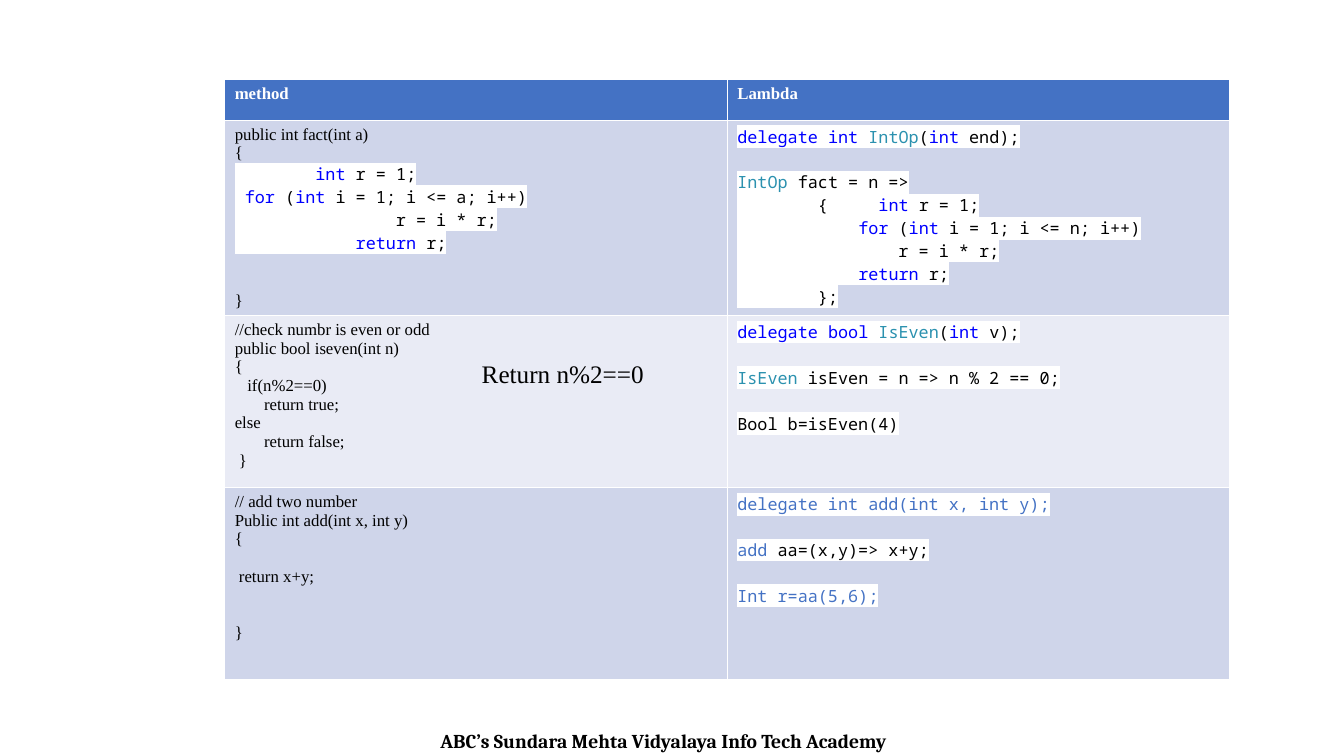
from lxml.etree import SubElement
from pptx import Presentation
from pptx.dml.color import RGBColor as RGB
from pptx.enum.text import PP_ALIGN as Align
from pptx.oxml.ns import qn
from pptx.util import Pt

BLACK = RGB(0, 0, 0)
WHITE = RGB(255, 255, 255)
BLUE = RGB(0x00, 0x00, 0xFF)
TEAL = RGB(0x2B, 0x91, 0xAF)
ACCENT = RGB(0x44, 0x72, 0xC4)
DARK = RGB(0xCF, 0xD5, 0xEA)
LIGHT = RGB(0xE9, 0xEB, 0xF5)
SERIF = "Times New Roman"
MONO = "Noto Sans Mono"

hues = dict.fromkeys(["delegate", "int", "bool", "for", "return"], BLUE)
hues.update(dict.fromkeys(["IntOp", "IsEven"], TEAL))
hues.update(dict.fromkeys(
    ["delegate int add(int x, int y);", "add ", "Int r=aa(5,6);"], ACCENT))


def style(run, face, size, color, bold=False):
    font = run.font
    font.name, font.size, font.bold = face, Pt(size), bold
    font.color.rgb = color


def mark(run):
    props = run.font._element
    light = SubElement(props, qn("a:highlight"))
    SubElement(light, qn("a:srgbClr"), val="FFFFFF")
    props.find(qn("a:solidFill")).addnext(light)


rows = [
    (DARK, 137, [
        (SERIF, 0, "public int fact(int a)"),
        (SERIF, 0, "{"),
        (MONO, 0, "        |int| r = 1;"),
        (MONO, 0, " |for| (|int| i = 1; i <= a; i++)"),
        (MONO, 0, "                r = i * r;"),
        (MONO, 0, "            |return| r;"),
        (SERIF, 27, "}"),
    ], [
        (MONO, 0, "delegate| |int| |IntOp|(|int| end);"),
        (MONO, 16.4, "IntOp| fact = n =>"),
        (MONO, 0, "        {     |int| r = 1;"),
        (MONO, 0, "            |for| (|int| i = 1; i <= n; i++)"),
        (MONO, 0, "                r = i * r;"),
        (MONO, 0, "            |return| r;"),
        (MONO, 0, "        };"),
    ]),
    (LIGHT, 123, [
        (SERIF, 0, "//check numbr is even or odd"),
        (SERIF, 0, "public bool iseven(int n)"),
        (SERIF, 0, "{"),
        (SERIF, 0, "   if(n%2==0)"),
        (SERIF, 0, "       return true;"),
        (SERIF, 0, "else"),
        (SERIF, 0, "       return false;"),
        (SERIF, 0, " }"),
    ], [
        (MONO, 0, "delegate| |bool| |IsEven|(|int| v);"),
        (MONO, 16.4, "IsEven| isEven = n => n % 2 == 0;"),
        (MONO, 16.4, "Bool b=isEven(4)"),
    ]),
    (DARK, 137, [
        (SERIF, 0, "// add two number"),
        (SERIF, 0, "Public int add(int x, int y)"),
        (SERIF, 0, "{"),
        (SERIF, 13.3, " return x+y;"),
        (SERIF, 26.6, "}"),
    ], [
        (MONO, 0, "delegate int add(int x, int y);"),
        (MONO, 16.4, "add |aa=(x,y)=> x+y;"),
        (MONO, 16.4, "Int r=aa(5,6);"),
    ]),
]

deck = Presentation()
deck.slide_width, deck.slide_height = Pt(960), Pt(540)
slide = deck.slides.add_slide(deck.slide_layouts[6])

table = slide.shapes.add_table(
    4, 2, Pt(160.5), Pt(57), Pt(718), Pt(425.8)).table
for col in table.columns:
    col.width = Pt(359)

table.rows[0].height = Pt(28.8)
for cell, label in zip(table.rows[0].cells, ["method", "Lambda"]):
    cell.fill.solid()
    cell.fill.fore_color.rgb = ACCENT
    cell.text_frame.text = label
    style(cell.text_frame.paragraphs[0].runs[0], SERIF, 12, WHITE, True)

for i, (shade, height, *codes) in enumerate(rows, 1):
    table.rows[i].height = Pt(height)
    for cell, lines in zip(table.rows[i].cells, codes):
        cell.fill.solid()
        cell.fill.fore_color.rgb = shade
        frame = cell.text_frame
        for n, (face, gap, line) in enumerate(lines):
            para = frame.add_paragraph() if n else frame.paragraphs[0]
            if gap:
                para.space_before = Pt(gap)
            for part in line.split("|"):
                run = para.add_run()
                run.text = part
                color = hues.get(part, BLACK)
                style(run, face, 12, color)
                if face == MONO:
                    mark(run)

notes = [
    ("ABC’s Sundara Mehta Vidyalaya Info Tech Academy",
     (-6, 517, 960, 24.5), "Cambria", 14, True, Align.CENTER),
    ("Return n%2==0",
     (337, 252.5, 142.5, 29), SERIF, 18, False, Align.LEFT),
]
for text, place, face, size, bold, align in notes:
    frame = slide.shapes.add_textbox(*map(Pt, place)).text_frame
    frame.word_wrap = True
    frame.text = text
    para = frame.paragraphs[0]
    para.alignment = align
    style(para.runs[0], face, size, BLACK, bold)

deck.save("out.pptx")
